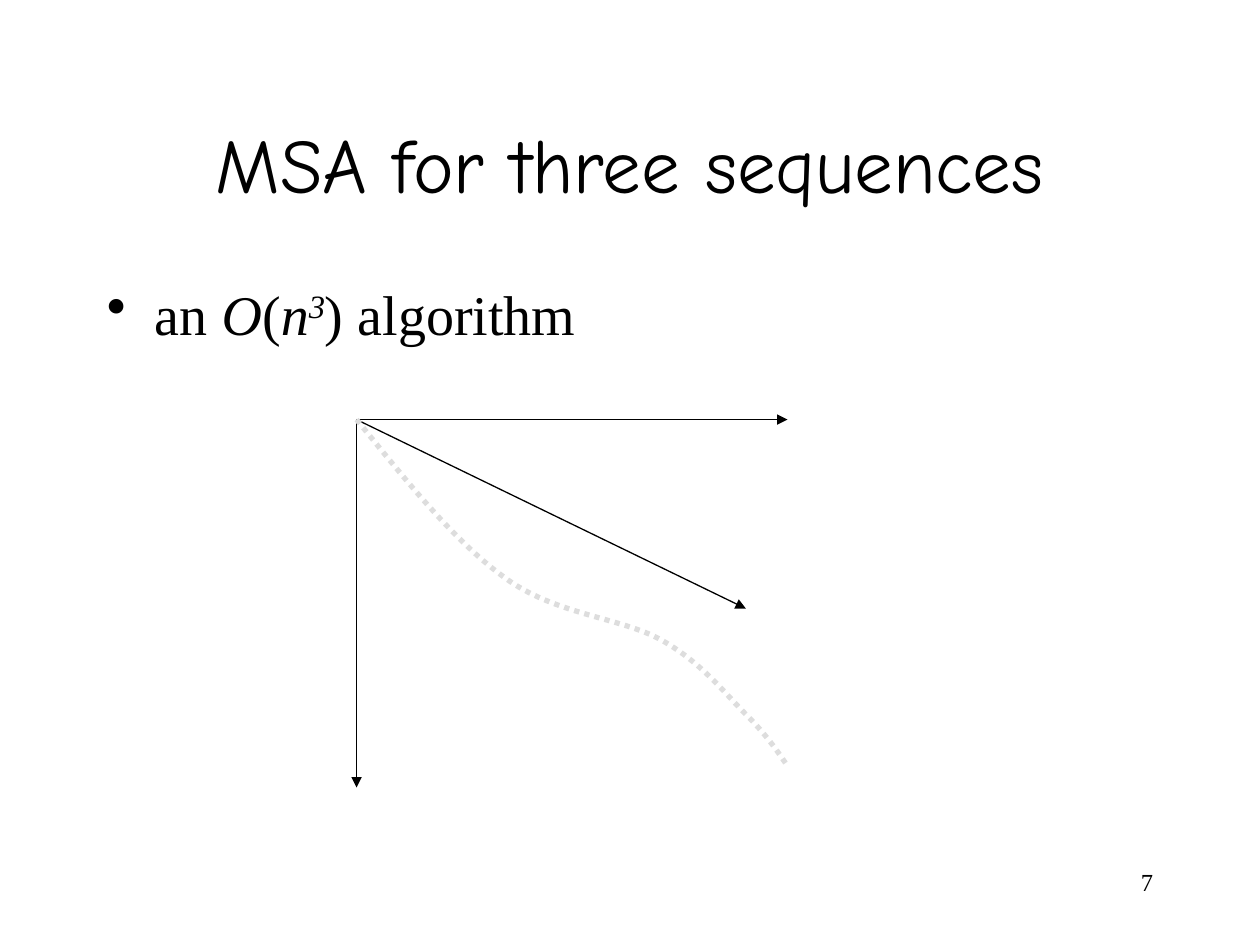
import pptx
import pptx.util
import pptx.dml.color
import pptx.enum.dml
import pptx.enum.shapes
import pptx.enum.text
import pptx.oxml
import pptx.oxml.ns
from lxml import etree

Inches, Pt = pptx.util.Inches, pptx.util.Pt
qn = pptx.oxml.ns.qn
ALIGN = pptx.enum.text.PP_ALIGN
COLORS = {"ink": "000000", "path": "DDDDDD"}
SERIF = "Times New Roman"


def rgb(name):
    return pptx.dml.color.RGBColor.from_string(COLORS[name])


def add_run(paragraph, text, size, font=SERIF, italic=False):
    run = paragraph.add_run()
    run.text = text
    run.font.size = Pt(size)
    run.font.name = font
    run.font.italic = italic
    run.font.color.rgb = rgb("ink")
    return run


prs = pptx.Presentation()
prs.slide_width, prs.slide_height = Inches(10), Inches(7.5)
slide = prs.slides.add_slide(prs.slide_layouts[5])
shapes = slide.shapes

# Title
title = shapes.title
title.left, title.top = Inches(0.75), Inches(0.67)
title.width, title.height = Inches(8.5), Inches(1.25)
title.text_frame.vertical_anchor = pptx.enum.text.MSO_ANCHOR.MIDDLE
heading = title.text_frame.paragraphs[0]
heading.alignment = ALIGN.CENTER
add_run(heading, "MSA for three sequences", 44, "Comic Neue")

# Slide number
page_number = shapes.add_textbox(Inches(7.17), Inches(6.83), Inches(2.08), Inches(0.5))
page_number.text_frame.word_wrap = True
page_line = page_number.text_frame.paragraphs[0]
page_line.alignment = ALIGN.RIGHT
add_run(page_line, "7", 14)

# Complexity bullet
complexity = shapes.add_textbox(Inches(0.75), Inches(2.17), Inches(8.5), Inches(4.5))
complexity.text_frame.word_wrap = True
bullet = complexity.text_frame.paragraphs[0]
bullet.space_before = Pt(8)
bullet_props = bullet._p.get_or_add_pPr()
bullet_props.set("marL", str(Inches(0.38)))
bullet_props.set("indent", str(Inches(-0.38)))
etree.SubElement(bullet_props, qn("a:buChar")).set("char", "•")
for text, italic in [("an ", False), ("O", True), ("(", False), ("n", True),
                     ("3", True), (") algorithm", False)]:
    run = add_run(bullet, text, 32, italic=italic)
    if text == "3":
        run.font._element.set("baseline", "30000")

# Three sequence axes from a shared origin
origin = (2.83, 3.33)
for end in [(6.25, 3.33), (2.83, 6.25), (5.92, 4.83)]:
    axis = shapes.add_connector(pptx.enum.shapes.MSO_CONNECTOR.STRAIGHT,
                                *map(Inches, origin + end))
    axis.line.color.rgb = rgb("ink")
    axis.line.width = Pt(0.74)
    etree.SubElement(axis.line._get_or_add_ln(), qn("a:tailEnd")).set("type", "triangle")
    etree.SubElement(axis._element.spPr, qn("a:effectLst"))

# Dotted alignment path: two control points and an end point per segment
segments = [
    [(3.22, 3.81), (3.6, 4.29), (4, 4.58)],
    [(4.4, 4.88), (4.93, 4.9), (5.25, 5.08)],
    [(5.57, 5.26), (5.75, 5.5), (5.92, 5.67)],
    [(6.08, 5.83), (6.17, 5.96), (6.25, 6.08)],
]
builder = shapes.build_freeform(*map(Inches, origin))
builder.add_line_segments([tuple(map(Inches, s[-1])) for s in segments], close=False)
alignment = builder.convert_to_shape()
alignment.shadow.inherit = False
alignment.fill.background()
alignment.line.color.rgb = rgb("path")
alignment.line.width = Pt(3)
alignment.line.dash_style = pptx.enum.dml.MSO_LINE.ROUND_DOT

# Turn the straight segments into Bezier curves
straight = list(alignment._element.iter(qn("a:lnTo")))
for line_to, segment in zip(straight, segments):
    curve = etree.Element(qn("a:cubicBezTo"))
    for x, y in segment:
        point = etree.SubElement(curve, qn("a:pt"))
        point.set("x", str(Inches(x) - alignment.left))
        point.set("y", str(Inches(y) - alignment.top))
    line_to.getparent().replace(line_to, curve)

prs.save("out.pptx")
